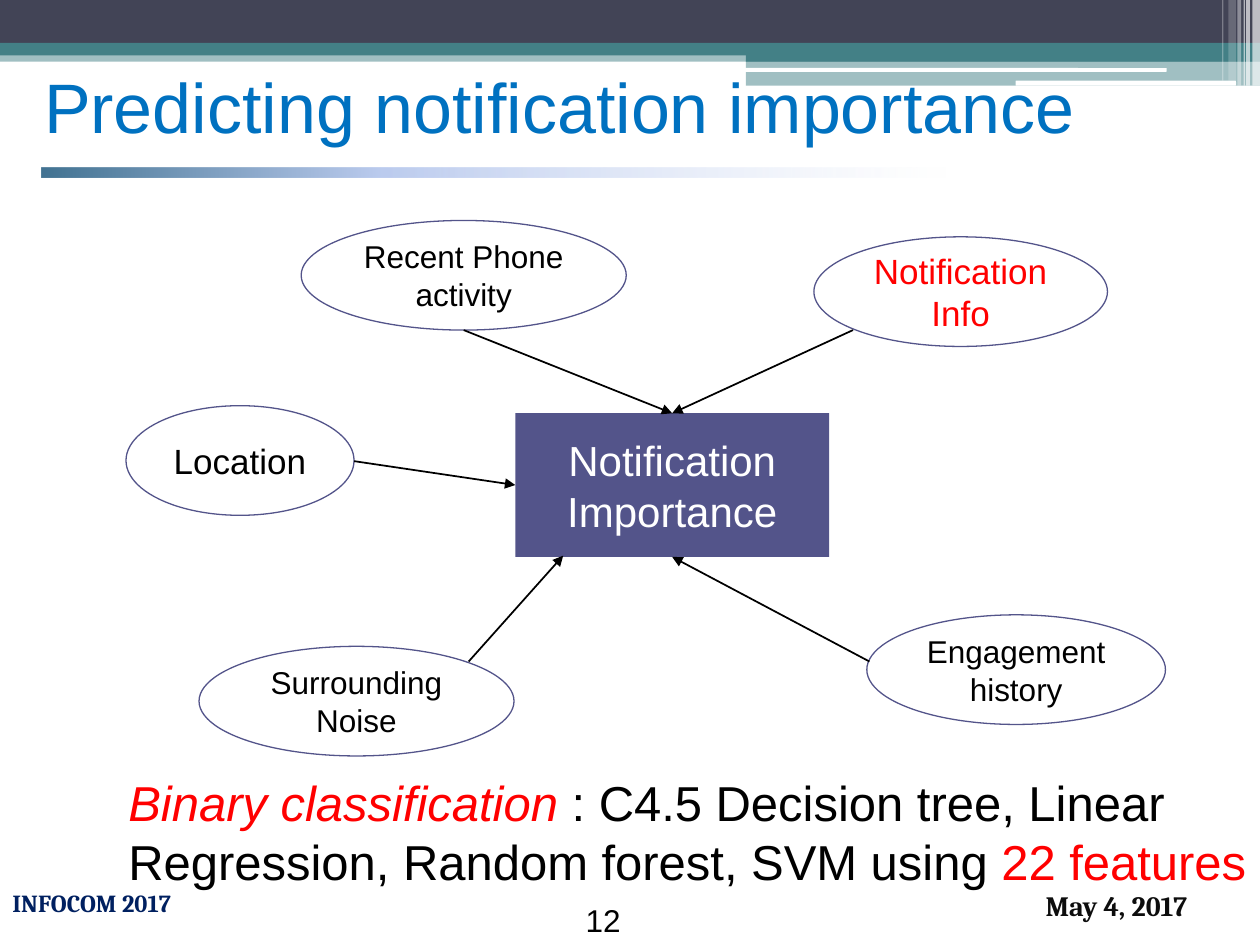
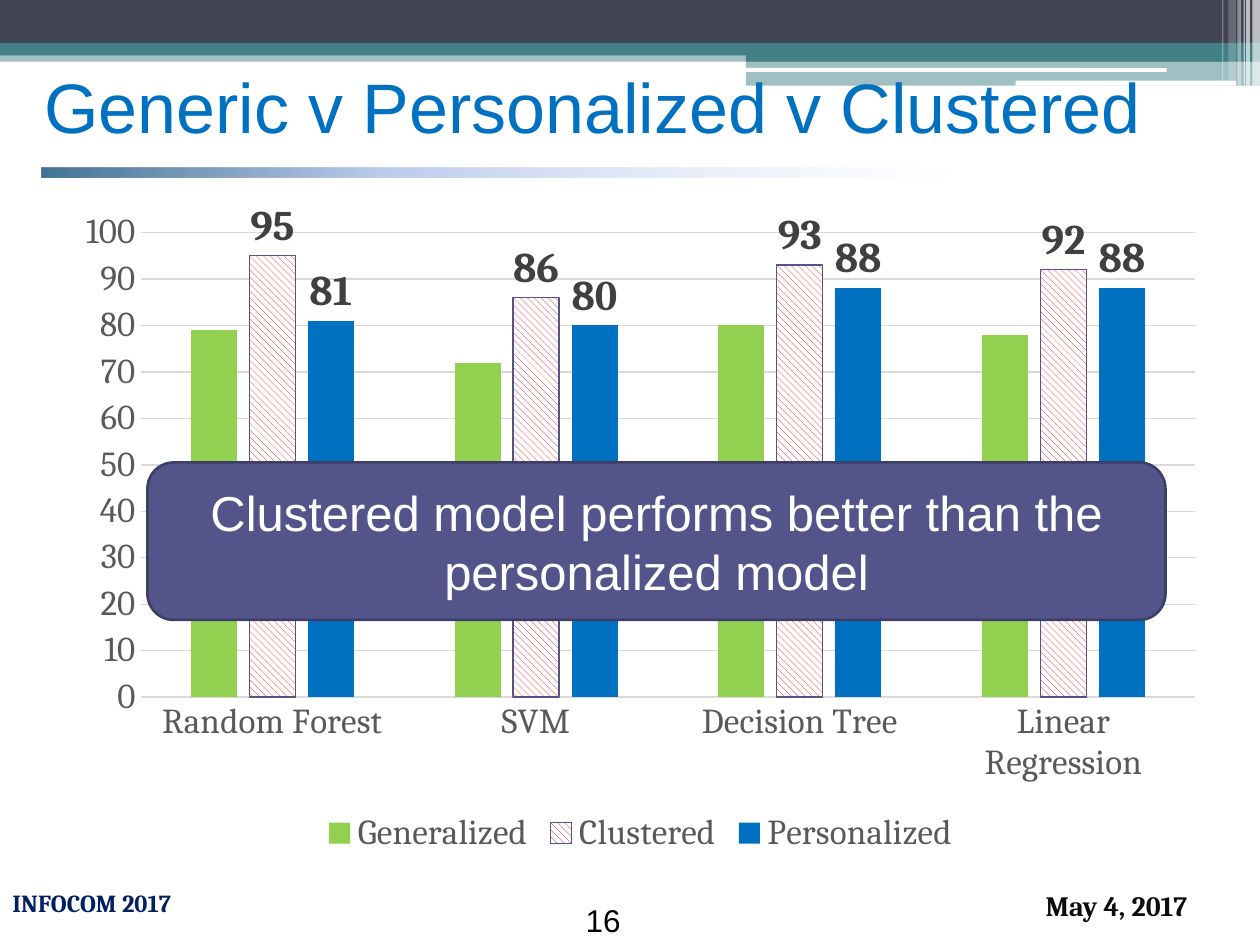
from copy import deepcopy
from dataclasses import dataclass

from lxml.etree import SubElement
from pptx import Presentation
from pptx.chart.data import CategoryChartData
from pptx.dml.color import RGBColor
from pptx.enum.chart import (XL_CHART_TYPE, XL_LABEL_POSITION,
                             XL_LEGEND_POSITION, XL_TICK_MARK)
from pptx.enum.dml import MSO_PATTERN
from pptx.enum.shapes import MSO_CONNECTOR, MSO_SHAPE
from pptx.enum.text import MSO_ANCHOR, MSO_AUTO_SIZE, PP_ALIGN
from pptx.oxml.ns import qn
from pptx.util import Inches, Pt


@dataclass(frozen=True)
class Theme:
    # Colours
    dark: str = "424456"
    teal: str = "438086"
    white: str = "FFFFFF"
    black: str = "000000"
    red: str = "FF0000"
    blue: str = "0071C0"
    navy: str = "002060"
    ink: str = "0D0D0D"
    plum: str = "53548A"
    edge: str = "3D3E66"
    text: str = "595959"
    label: str = "404040"
    grid: str = "D9D9D9"
    lime: str = "92D050"
    bar: str = "0070C0"
    fade: tuple = ((0, "427392"), (0.29, "BCCCEF"), (0.77, "DEE6F7"))
    # Fonts
    sans: str = "Arial"
    serif: str = "Cambria"
    # Type sizes
    head: int = 40
    large: int = 28
    mid: int = 24
    base: int = 20
    small: int = 18
    date: int = 16
    foot: int = 14


T = Theme()

# Top bands: left, top, width, height, colour, opacity
BANDS = [
    (0, 0.4, 10, 0.09, T.teal, 50),
    (0, 0, 10, 0.34, T.dark, 100),
    (0, 0.34, 10, 0.1, T.teal, 100),
    (5.92, 0.39, 4.08, 0.1, T.teal, 100),
    (5.92, 0.48, 4.08, 0.2, T.teal, 50),
]
PILLS = [(5.91, 0.54, 3.35, 0.03), (8.06, 0.64, 1.75, 0.04)]
# Corner stripes: left, width, height, opacity
STRIPES = [
    (9.94, 0.06, 0.68, 65), (9.89, 0.03, 0.68, 65), (9.87, 0.01, 0.68, 60),
    (9.82, 0.03, 0.68, 40), (9.75, 0.06, 0.64, 20), (9.7, 0.01, 0.64, 30),
]


def rgb(code):
    return RGBColor.from_string(code)


def style(font, size, color, face=T.sans, bold=False, slant=False):
    font.size, font.name = Pt(size), face
    font.color.rgb = rgb(color)
    font.bold, font.italic = bold, slant


def fade(shape, solid):
    """Set the opacity of the last colour in a shape."""
    tone = list(shape._element.spPr.iter(qn("a:srgbClr")))[-1]
    SubElement(tone, qn("a:alpha"), val=str(solid * 1000))


class Deck:
    def __init__(self, theme):
        self.theme = theme
        self.show = Presentation()
        self.show.slide_width, self.show.slide_height = Inches(10), Inches(7.5)
        self.slide = None

    def page(self, title, number):
        """Start a slide with bands, footers and title."""
        t = self.theme
        self.slide = self.show.slides.add_slide(self.show.slide_layouts[5])
        for *box, color, solid in BANDS:
            self.block(box, color, solid=solid)
        for box in PILLS:
            self.block(box, t.white, kind=MSO_SHAPE.ROUNDED_RECTANGLE)
        for left, width, high, solid in STRIPES:
            self.block((left, 0, width, high), t.white, solid=solid)
        self.note((0, 7, 2.92, 0.5),
                  [[("INFOCOM 2017", t.foot, t.navy, t.serif, True)]])
        self.note((8.2, 7, 1.8, 0.5),
                  [[("May 4, 2017", t.date, t.ink, t.serif, True)]])
        self.rule()
        self.note((4.55, 7.1, 0.51, 0.4),
                  [[(str(number), t.small, t.black)]], wrap=False)
        self.title(title)

    def title(self, text):
        head = self.slide.shapes.title
        head.left, head.top = Inches(0.25), Inches(0.25)
        head.width, head.height = Inches(9), Inches(1.17)
        self.words(head.text_frame, [[(text, self.theme.head, self.theme.blue)]])
        head.text_frame.vertical_anchor = MSO_ANCHOR.MIDDLE
        head.text_frame.auto_size = MSO_AUTO_SIZE.NONE
        # Bring the title in front of the bands
        self.slide.shapes._spTree.append(head._element)

    def words(self, frame, lines, align=PP_ALIGN.LEFT):
        """Fill a frame; each line is a list of (text, *style) runs."""
        for i, runs in enumerate(lines):
            para = frame.add_paragraph() if i else frame.paragraphs[0]
            para.alignment = align
            for text, *look in runs:
                run = para.add_run()
                run.text = text
                style(run.font, *look)

    def note(self, box, lines, wrap=True):
        frame = self.slide.shapes.add_textbox(*map(Inches, box)).text_frame
        frame.word_wrap = wrap
        if not wrap:
            frame.auto_size = MSO_AUTO_SIZE.SHAPE_TO_FIT_TEXT
        self.words(frame, lines)

    def block(self, box, fill=None, line=None, width=0.75, solid=100,
              kind=MSO_SHAPE.RECTANGLE, run=None):
        shape = self.slide.shapes.add_shape(kind, *map(Inches, box))
        shape.shadow.inherit = False
        if fill:
            shape.fill.solid()
            shape.fill.fore_color.rgb = rgb(fill)
        else:
            shape.fill.background()
        if line:
            shape.line.color.rgb = rgb(line)
            shape.line.width = Pt(width)
        else:
            shape.line.fill.background()
        if solid < 100:
            fade(shape, solid)
        if run:
            shape.text_frame.word_wrap = True
            shape.text_frame.vertical_anchor = MSO_ANCHOR.MIDDLE
            self.words(shape.text_frame, [[run]], PP_ALIGN.CENTER)
        return shape

    def rule(self):
        """Draw the fading bar below the title."""
        bar = self.block((0.33, 1.33, 9.33, 0.08))
        bar.fill.gradient()
        bar.fill.gradient_angle = 0
        stops = bar._element.spPr.find(".//" + qn("a:gsLst"))
        stops.append(deepcopy(stops[-1]))
        for stop, (place, color) in zip(bar.fill.gradient_stops, self.theme.fade):
            stop.position = place
            stop.color.rgb = rgb(color)
        fade(bar, 0)

    def arrow(self, start, end, goal=None, side=0):
        line = self.slide.shapes.add_connector(
            MSO_CONNECTOR.STRAIGHT, *map(Inches, (*start, *end)))
        if goal is not None:
            line.end_connect(goal, side)
        line.line.color.rgb = rgb(self.theme.black)
        line.line.width = Pt(1)
        props = line._element.spPr
        SubElement(props.find(qn("a:ln")), qn("a:tailEnd"), type="triangle")
        SubElement(props, qn("a:effectLst"))

    def chart(self, box, cats, series):
        """Add a column chart; series are (name, values, colour, labelled)."""
        t = self.theme
        data = CategoryChartData()
        data.categories = cats
        for name, vals, *_ in series:
            data.add_series(name, vals)
        chart = self.slide.shapes.add_chart(
            XL_CHART_TYPE.COLUMN_CLUSTERED, *map(Inches, box), data).chart
        chart.has_title = False
        style(chart.font, t.base, t.black, t.serif)

        # Legend and axes
        chart.has_legend = True
        chart.legend.position = XL_LEGEND_POSITION.BOTTOM
        chart.legend.include_in_layout = False
        style(chart.legend.font, t.base, t.text, t.serif)
        cat, val = chart.category_axis, chart.value_axis
        for axis in (cat, val):
            axis.major_tick_mark = axis.minor_tick_mark = XL_TICK_MARK.NONE
            style(axis.tick_labels.font, t.base, t.text, t.serif)
        val.minimum_scale, val.maximum_scale, val.major_unit = 0, 100, 10
        val.format.line.fill.background()
        val.has_major_gridlines = True
        for line in (cat.format.line, val.major_gridlines.format.line):
            line.color.rgb = rgb(t.grid)
            line.width = Pt(0.75)

        # Columns
        plot = chart.plots[0]
        plot.gap_width, plot.overlap = 219, -27
        plot.vary_by_categories = False
        for bars, (_, _, color, shown) in zip(plot.series, series):
            fill = bars.format.fill
            if color:
                fill.solid()
                fill.fore_color.rgb = rgb(color)
            else:
                fill.patterned()
                fill.pattern = MSO_PATTERN.WIDE_DOWNWARD_DIAGONAL
                fill.fore_color.rgb = rgb(t.red)
                fill.back_color.rgb = rgb(t.white)
                bars.format.line.color.rgb = rgb(t.plum)
                bars.format.line.width = Pt(0.75)
            if shown:
                labels = bars.data_labels
                labels.show_value = True
                labels.position = XL_LABEL_POSITION.OUTSIDE_END
                style(labels.font, t.mid, t.label, t.serif, True)


def factors(deck):
    """Slide on the factors behind importance."""
    deck.page("Predicting notification importance", 12)
    core = deck.block((4.09, 3.28, 2.49, 1.14), T.plum,
                      run=("Notification Importance", T.mid, T.white))

    # Factor ovals, all of one height
    ovals = [
        (1.58, 5.13, 2.5, "Surrounding Noise", T.small, T.black),
        (1, 3.22, 1.81, "Location", T.base, T.black),
        (2.39, 1.75, 2.58, "Recent Phone activity", T.small, T.black),
        (6.88, 4.88, 2.37, "Engagement history", T.small, T.black),
        (6.46, 1.88, 2.33, "Notification Info", T.base, T.red),
    ]
    for left, top, width, *run in ovals:
        deck.block((left, top, width, 0.87), line=T.plum,
                   kind=MSO_SHAPE.OVAL, run=run)

    # Arrows into the core
    top, left, low = (5.33, 3.28), (4.09, 3.85), (5.33, 4.41)
    for start, end, side in [((6.9, 5.25), low, 2), ((2.81, 3.66), left, 1),
                             ((3.68, 2.62), top, 0), ((6.77, 2.62), top, 0)]:
        deck.arrow(start, end, core, side)
    deck.arrow((3.72, 5.25), (4.47, 4.41))

    # Method
    deck.note((0.92, 6.08, 9.19, 1.04), [
        [("Binary classification ", T.large, T.red, T.sans, False, True),
         (": C4.5 Decision tree, Linear", T.large, T.black)],
        [("Regression, Random forest, SVM using ", T.large, T.black),
         ("22 features", T.large, T.red)],
    ], wrap=False)


def models(deck):
    """Slide comparing the three models."""
    deck.page("Generic v Personalized v Clustered", 16)
    deck.chart((0.5, 1.58, 9.17, 5.25),
               ["Random Forest", "SVM", "Decision Tree", "Linear Regression"],
               [("Generalized", (79, 72, 80, 78), T.lime, False),
                ("Clustered", (95, 86, 93, 92), None, True),
                ("Personalized", (81, 80, 88, 88), T.bar, True)])
    deck.block((1.17, 3.67, 8.08, 1.25), T.plum, T.edge, 1.5,
               kind=MSO_SHAPE.ROUNDED_RECTANGLE,
               run=("Clustered model performs better than the personalized model",
                    T.large, T.white))


def main():
    deck = Deck(T)
    factors(deck)
    models(deck)
    deck.show.save("out.pptx")


if __name__ == "__main__":
    main()
